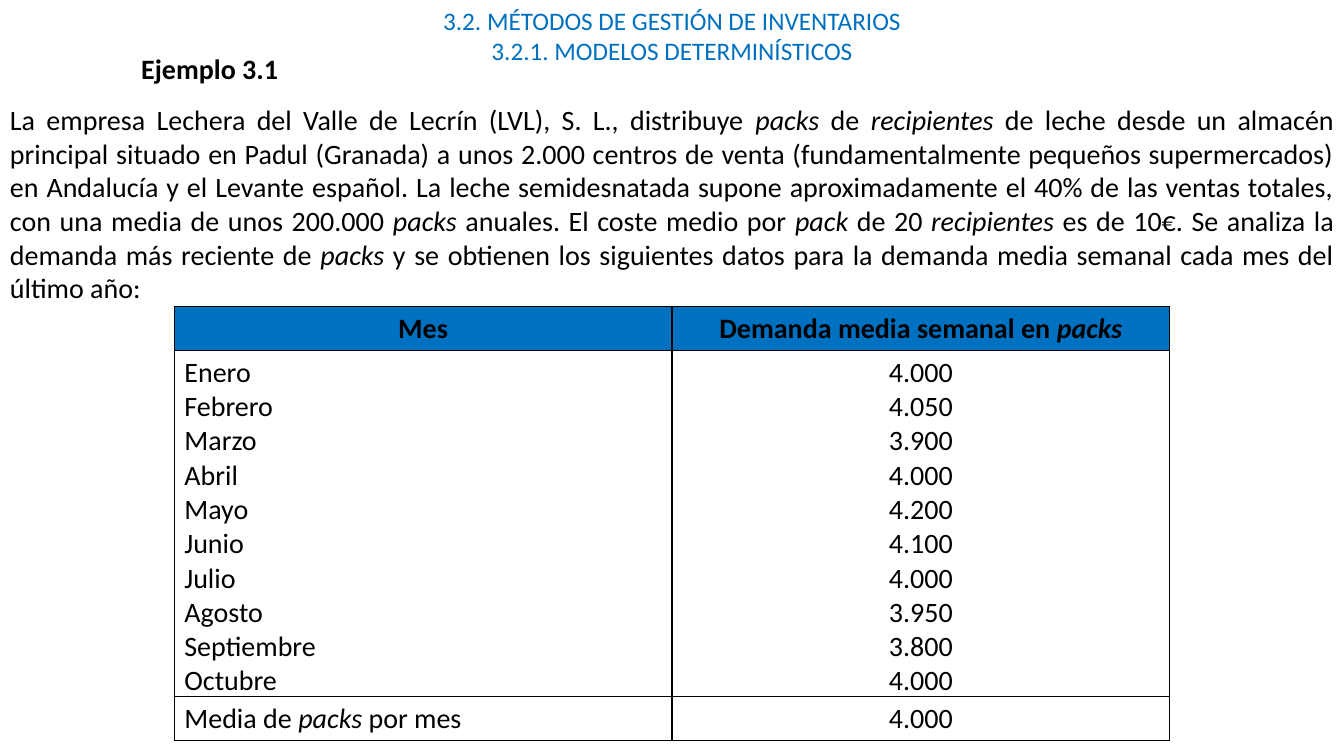
import pptx
import pptx.util
import pptx.dml.color
import pptx.enum.text
import pptx.oxml.ns
import lxml.etree

Pt = pptx.util.Pt
ALIGN = pptx.enum.text.PP_ALIGN
COLOURS = {"blue": "0070C0", "black": "000000"}
WIDTH, HEIGHT = 960, 540

HEADINGS = ["3.2. MÉTODOS DE GESTIÓN DE INVENTARIOS", "3.2.1. MODELOS DETERMINÍSTICOS"]
# Words between asterisks are set in italics.
STATEMENT = (
    "La empresa Lechera del Valle de Lecrín (LVL), S. L., distribuye *packs* de *recipientes* "
    "de leche desde un almacén principal situado en Padul (Granada) a unos 2.000 centros de venta "
    "(fundamentalmente pequeños supermercados) en Andalucía y el Levante español. La leche "
    "semidesnatada supone aproximadamente el 40% de las ventas totales, con una media de unos "
    "200.000 *packs* anuales. El coste medio por *pack* de 20 *recipientes* es de 10€. Se analiza "
    "la demanda más reciente de *packs* y se obtienen los siguientes datos para la demanda media "
    "semanal cada mes del último año:"
)
DEMAND = {
    "Enero": "4.000", "Febrero": "4.050", "Marzo": "3.900", "Abril": "4.000", "Mayo": "4.200",
    "Junio": "4.100", "Julio": "4.000", "Agosto": "3.950", "Septiembre": "3.800", "Octubre": "4.000",
}
TABLE_ROWS = [
    (["Mes"], ["Demanda media semanal en *packs*"]),
    (list(DEMAND), list(DEMAND.values())),
    (["Media de *packs* por mes"], ["4.000"]),
]
ROW_HEIGHTS = [31.5, 247, 31.5]


def rgb(name):
    return pptx.dml.color.RGBColor.from_string(COLOURS[name])


def write_lines(frame, lines, align, colour="black", size=20, bold=False):
    """Fill a text frame with one paragraph per line."""
    for index, line in enumerate(lines):
        para = frame.add_paragraph() if index else frame.paragraphs[0]
        para.alignment = align
        for position, words in enumerate(line.split("*")):
            if not words:
                continue
            span = para.add_run()
            span.text = words
            values = {"name": "Calibri", "size": Pt(size), "bold": bold, "italic": position % 2 == 1}
            for attribute, value in values.items():
                setattr(span.font, attribute, value)
            span.font.color.rgb = rgb(colour)


def add_text(page, box, line, align, **style):
    frame = page.shapes.add_textbox(*map(Pt, box)).text_frame
    frame.word_wrap = True
    write_lines(frame, [line], align, **style)


def add_headings(page, left, top, width):
    for index, heading in enumerate(HEADINGS):
        box = (left, top + index * 21.6, width, 29)
        add_text(page, box, heading, ALIGN.CENTER, colour="blue", size=18)


def add_example(page, left, top, width):
    add_text(page, (left + 89.3, top, 121, 31.5), "Ejemplo 3.1", ALIGN.CENTER, bold=True)
    add_text(page, (left, top + 36.7, width, 152.6), STATEMENT, ALIGN.JUSTIFY)


def set_borders(cell):
    properties = cell._tc.get_or_add_tcPr()
    qn = pptx.oxml.ns.qn
    for position, side in enumerate(("lnL", "lnR", "lnT", "lnB")):
        line = lxml.etree.Element(qn(f"a:{side}"), w=str(Pt(1)))
        fill = lxml.etree.SubElement(line, qn("a:solidFill"))
        lxml.etree.SubElement(fill, qn("a:srgbClr"), val=COLOURS["black"])
        properties.insert(position, line)


def add_demand_table(page, left, top, width):
    box = (left, top, width, sum(ROW_HEIGHTS))
    table = page.shapes.add_table(len(TABLE_ROWS), 2, *map(Pt, box)).table
    for column in table.columns:
        column.width = Pt(width / 2)
    for row, (height, contents) in enumerate(zip(ROW_HEIGHTS, TABLE_ROWS)):
        table.rows[row].height = Pt(height)
        header = row == 0
        for column, lines in enumerate(contents):
            cell = table.cell(row, column)
            if header:
                cell.fill.solid()
                cell.fill.fore_color.rgb = rgb("blue")
            else:
                cell.fill.background()
            if len(lines) > 1:
                cell.margin_bottom = 0
            align = ALIGN.CENTER if header or column else ALIGN.LEFT
            write_lines(cell.text_frame, lines, align, bold=header)
            set_borders(cell)


def main():
    deck = pptx.Presentation()
    deck.slide_width, deck.slide_height = Pt(WIDTH), Pt(HEIGHT)
    page = deck.slides.add_slide(deck.slide_layouts[6])
    add_headings(page, 0, 0, WIDTH)
    add_example(page, 0, 33.1, WIDTH)
    add_demand_table(page, 124.5, 218.9, 711)
    deck.save("out.pptx")


if __name__ == "__main__":
    main()
